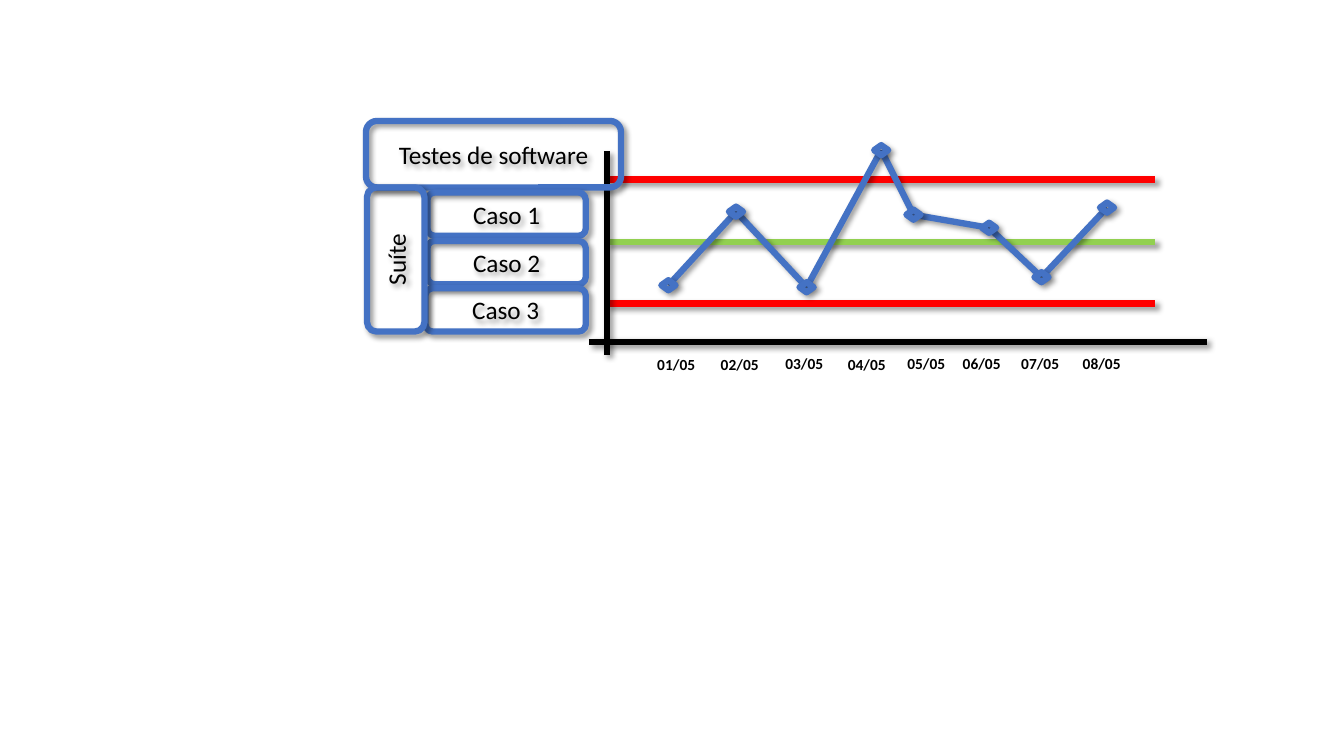
from dataclasses import dataclass
from itertools import pairwise

import lxml.etree
import pptx
import pptx.dml.color
import pptx.enum.shapes
import pptx.enum.text
import pptx.oxml.ns
import pptx.util
from pptx.util import Inches

RGBColor = pptx.dml.color.RGBColor
Shape = pptx.enum.shapes.MSO_SHAPE

BLACK = RGBColor(0x00, 0x00, 0x00)
BLUE = RGBColor(0x44, 0x72, 0xC4)
RED = RGBColor(0xFF, 0x00, 0x00)
GREEN = RGBColor(0x92, 0xD0, 0x50)
FONT = "Calibri"
STROKE = pptx.util.Pt(4.5)
MARKER_WIDTH, MARKER_HEIGHT = 0.14, 0.1


@dataclass
class Rule:
    x1: float
    y1: float
    x2: float
    y2: float
    color: RGBColor


@dataclass
class Box:
    text: str
    left: float
    top: float
    width: float
    height: float
    vertical: bool = False


@dataclass
class Day:
    date: str
    x: float
    y: float
    label_left: float
    label_top: float = 3.46


RULES = [
    Rule(6.02, 2.4, 11.46, 2.4, GREEN),
    Rule(6.02, 1.78, 11.46, 1.78, RED),
    Rule(6.02, 3.01, 11.46, 3.01, RED),
    Rule(6.02, 3.52, 6.02, 1.5, BLACK),
    Rule(5.84, 3.39, 11.97, 3.39, BLACK),
]
BOXES = [
    Box("Testes de software", 3.63, 1.2, 2.53, 0.66),
    Box("Caso 1", 4.24, 1.91, 1.57, 0.43),
    Box("Caso 2", 4.24, 2.39, 1.57, 0.43),
    Box("Caso 3", 4.22, 2.86, 1.59, 0.43),
    Box("Suíte", 3.64, 1.86, 0.57, 1.43, vertical=True),
]
DAYS = [
    Day("01/05", 6.63, 2.83, 6.42, 3.47),
    Day("02/05", 7.3, 2.1, 7.05, 3.47),
    Day("03/05", 8, 2.85, 7.69),
    Day("04/05", 8.74, 1.49, 8.31, 3.47),
    Day("05/05", 9.06, 2.13, 8.9),
    Day("06/05", 9.81, 2.26, 9.45),
    Day("07/05", 10.33, 2.75, 10.03),
    Day("08/05", 10.98, 2.06, 10.64),
]


def add_shadow(shape) -> None:
    """Give a shape or connector the soft shadow; its line must be set first."""
    qn = pptx.oxml.ns.qn
    effects = lxml.etree.SubElement(shape._element.spPr, qn("a:effectLst"))
    outer = lxml.etree.SubElement(
        effects, qn("a:outerShdw"), blurRad=str(pptx.util.Pt(4)),
        dist=str(pptx.util.Pt(3)), dir=str(45 * 60000), algn="tl", rotWithShape="0")
    color = lxml.etree.SubElement(outer, qn("a:srgbClr"), val=str(BLACK))
    lxml.etree.SubElement(color, qn("a:alpha"), val="40000")


def style_line(shape, color: RGBColor) -> None:
    shape.line.color.rgb = color
    shape.line.width = STROKE
    add_shadow(shape)


def style_text(paragraph, size: float, bold: bool = False) -> None:
    for run in paragraph.runs:
        run.font.name = FONT
        run.font.size = pptx.util.Pt(size)
        run.font.bold = bold
        run.font.color.rgb = BLACK


def draw_rule(slide, rule: Rule) -> None:
    connector = slide.shapes.add_connector(
        pptx.enum.shapes.MSO_CONNECTOR.STRAIGHT,
        Inches(rule.x1), Inches(rule.y1), Inches(rule.x2), Inches(rule.y2))
    style_line(connector, rule.color)


def draw_outline(slide, kind, left: float, top: float, width: float, height: float):
    outline = slide.shapes.add_shape(
        kind, Inches(left), Inches(top), Inches(width), Inches(height))
    outline.fill.background()
    style_line(outline, BLUE)
    return outline


def draw_box(slide, box: Box) -> None:
    outline = draw_outline(
        slide, Shape.ROUNDED_RECTANGLE, box.left, box.top, box.width, box.height)
    frame = outline.text_frame
    frame.text = box.text
    frame.word_wrap = True
    frame.vertical_anchor = pptx.enum.text.MSO_ANCHOR.MIDDLE
    if box.vertical:
        frame._txBody.bodyPr.set("vert", "vert270")
    frame.paragraphs[0].alignment = pptx.enum.text.PP_ALIGN.CENTER
    style_text(frame.paragraphs[0], 18)


def draw_date(slide, day: Day) -> None:
    label = slide.shapes.add_textbox(
        Inches(day.label_left), Inches(day.label_top), Inches(0.72), Inches(0.29))
    frame = label.text_frame
    frame.text = day.date
    frame.word_wrap = True
    frame.auto_size = pptx.enum.text.MSO_AUTO_SIZE.SHAPE_TO_FIT_TEXT
    style_text(frame.paragraphs[0], 11, bold=True)


def draw_marker(slide, day: Day) -> None:
    draw_outline(slide, Shape.DIAMOND, day.x - MARKER_WIDTH / 2,
                 day.y - MARKER_HEIGHT / 2, MARKER_WIDTH, MARKER_HEIGHT)


def main() -> None:
    deck = pptx.Presentation()
    deck.slide_width, deck.slide_height = Inches(13.33), Inches(7.5)
    slide = deck.slides.add_slide(deck.slide_layouts[6])

    # Control limits and axes
    for rule in RULES:
        draw_rule(slide, rule)

    # Daily results
    for start, end in pairwise(DAYS):
        draw_rule(slide, Rule(start.x, start.y, end.x, end.y, BLUE))

    # Test suite and its cases
    for box in BOXES:
        draw_box(slide, box)

    # Dates and markers
    for day in DAYS:
        draw_date(slide, day)
        draw_marker(slide, day)

    deck.save("out.pptx")


if __name__ == "__main__":
    main()
